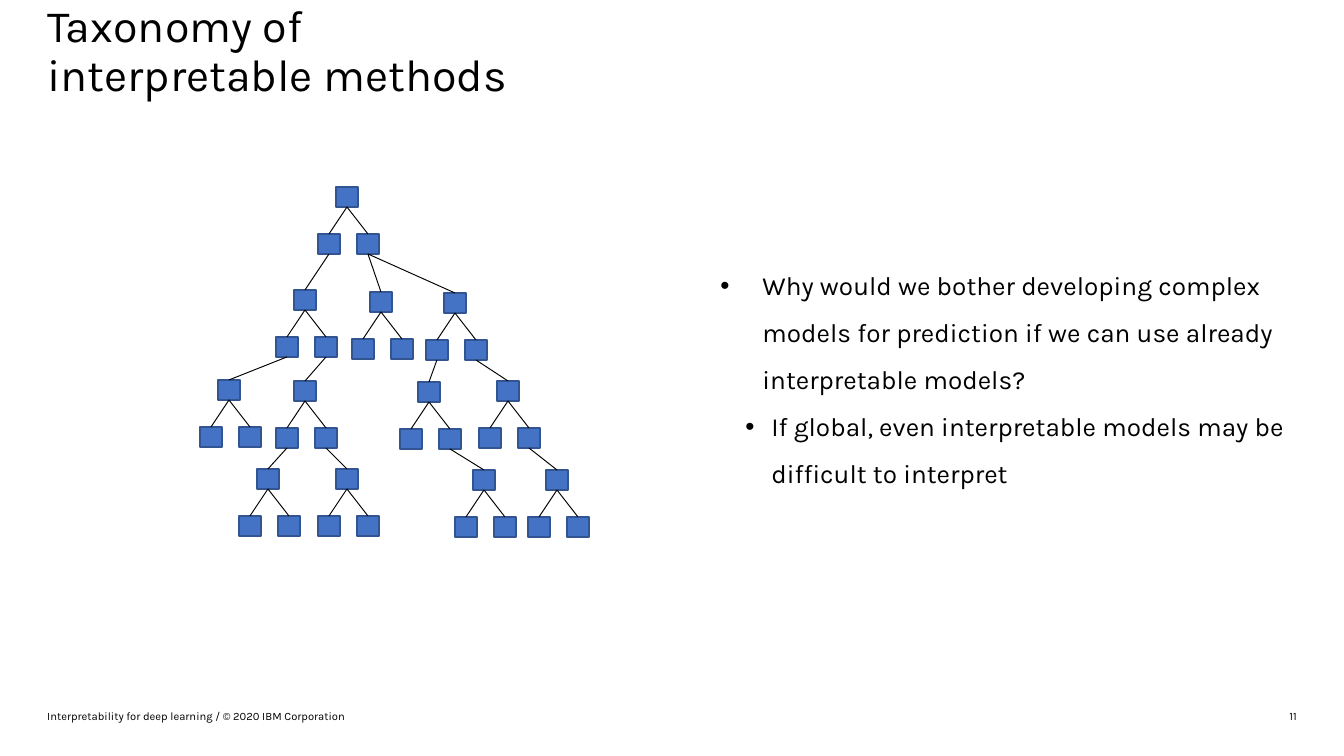
from lxml import etree
from pptx import Presentation
from pptx import util as u
from pptx.dml.color import RGBColor
from pptx.enum import shapes, text
from pptx.oxml.ns import qn

# Content
TITLE = "Taxonomy of interpretable methods"
BULLETS = [  # level, left indent, hanging indent, text
    (0, 42, 42, "Why would we bother developing complex models for prediction "
                "if we can use already interpretable models?"),
    (1, 51, 26, "If global, even interpretable models may be difficult to interpret"),
]
FOOTERS = [  # left, width, alignment, text
    (1042, 268, text.PP_ALIGN.RIGHT, "11"),
    (34, 605, text.PP_ALIGN.LEFT, "Interpretability for deep learning / © 2020 IBM Corporation"),
]
# Each branch is a node with two children: left, top, parent branch, side of the parent
BRANCHES = {
    "root": (336, 187, None, None),
    "left": (294, 290, "root", "left"),
    "middle": (370, 292, "root", "right"),
    "right": (444, 293, "root", "right"),
    "left outer": (218, 380, "left", "left"),
    "left inner": (294, 381, "left", "right"),
    "right inner": (418, 382, "right", "left"),
    "right outer": (497, 381, "right", "right"),
    "left inner 1": (257, 469, "left inner", "left"),
    "left inner 2": (336, 469, "left inner", "right"),
    "right inner 2": (473, 470, "right inner", "right"),
    "right outer 2": (546, 470, "right outer", "right"),
}
CHILD_OFFSETS = {"left": -18, "right": 21}
CHILD_DROP = 47
NODE_WIDTH, NODE_HEIGHT = 22, 20

COLORS = {"text": "000000", "node": "4472C4", "node line": "325491", "link": "000000"}
FONT = "Karla"
EMU_PER_PX = 914400 / 134.4


def px(value):
    return u.Emu(round(value * EMU_PER_PX))


def color(name):
    return RGBColor.from_string(COLORS[name])


def place(shape, left, top, width, height):
    shape.left, shape.top, shape.width, shape.height = map(px, (left, top, width, height))


def format_frame(frame):
    frame.word_wrap = True
    frame.auto_size = text.MSO_AUTO_SIZE.NONE
    frame.vertical_anchor = text.MSO_ANCHOR.MIDDLE


def format_paragraph(paragraph, size, alignment, spacing):
    paragraph.alignment = alignment
    paragraph.line_spacing = spacing
    paragraph.space_before = u.Pt(0)
    paragraph.font.name = FONT
    paragraph.font.size = u.Pt(size)
    paragraph.font.color.rgb = color("text")


def add_node(tree, left, top):
    node = tree.shapes.add_shape(shapes.MSO_SHAPE.RECTANGLE, *map(px, (left, top, NODE_WIDTH, NODE_HEIGHT)))
    node.shadow.inherit = False
    node.fill.solid()
    node.fill.fore_color.rgb = color("node")
    node.line.color.rgb = color("node line")
    node.line.width = u.Pt(1)
    return node


def add_link(tree, parent, child):
    """Join the bottom of the parent to the top of the child."""
    link = tree.shapes.add_connector(
        shapes.MSO_CONNECTOR.STRAIGHT,
        parent.left + parent.width // 2, parent.top + parent.height,
        child.left + child.width // 2, child.top)
    link.begin_connect(parent, 2)
    link.end_connect(child, 0)
    link.line.color.rgb = color("link")
    link.line.width = u.Pt(0.5)
    etree.SubElement(link._element.spPr, qn("a:effectLst"))


presentation = Presentation()
presentation.slide_width, presentation.slide_height = px(1344), px(756)
slide = presentation.slides.add_slide(presentation.slide_layouts[1])

# Title
title = slide.shapes.title
place(title, 34, 17, 751, 71)
title.text_frame.text = TITLE
format_frame(title.text_frame)
title.text_frame.margin_right = px(220)
format_paragraph(title.text_frame.paragraphs[0], 24, text.PP_ALIGN.LEFT, 0.9)

# Bulleted list
body = slide.placeholders[1]
place(body, 707, 39, 603, 665)
format_frame(body.text_frame)
body.text_frame.text = "\n".join(bullet[-1] for bullet in BULLETS)
for paragraph, (level, indent, hanging, _) in zip(body.text_frame.paragraphs, BULLETS):
    paragraph.level = level
    properties = paragraph._p.get_or_add_pPr()
    properties.set("marL", str(px(indent)))
    properties.set("indent", str(-px(hanging)))
    etree.SubElement(properties, qn("a:buChar"), char="•")
    format_paragraph(paragraph, 14, text.PP_ALIGN.LEFT, 1.5)

# Page number and footer
for left, width, alignment, line in FOOTERS:
    box = slide.shapes.add_textbox(*map(px, (left, 704, width, 24)))
    box.text_frame.text = line
    format_frame(box.text_frame)
    box.text_frame.margin_top = box.text_frame.margin_bottom = 0
    format_paragraph(box.text_frame.paragraphs[0], 6, alignment, 1.0)

# Decision tree: branches first, then the links between them
tree = slide.shapes.add_group_shape()
tops, children = {}, {}
for name, (left, top, _, _) in BRANCHES.items():
    tops[name] = add_node(tree, left, top)
    for side, offset in CHILD_OFFSETS.items():
        children[name, side] = add_node(tree, left + offset, top + CHILD_DROP)
        add_link(tree, tops[name], children[name, side])
for name, (_, _, parent, side) in BRANCHES.items():
    if parent:
        add_link(tree, children[parent, side], tops[name])

presentation.save("out.pptx")
